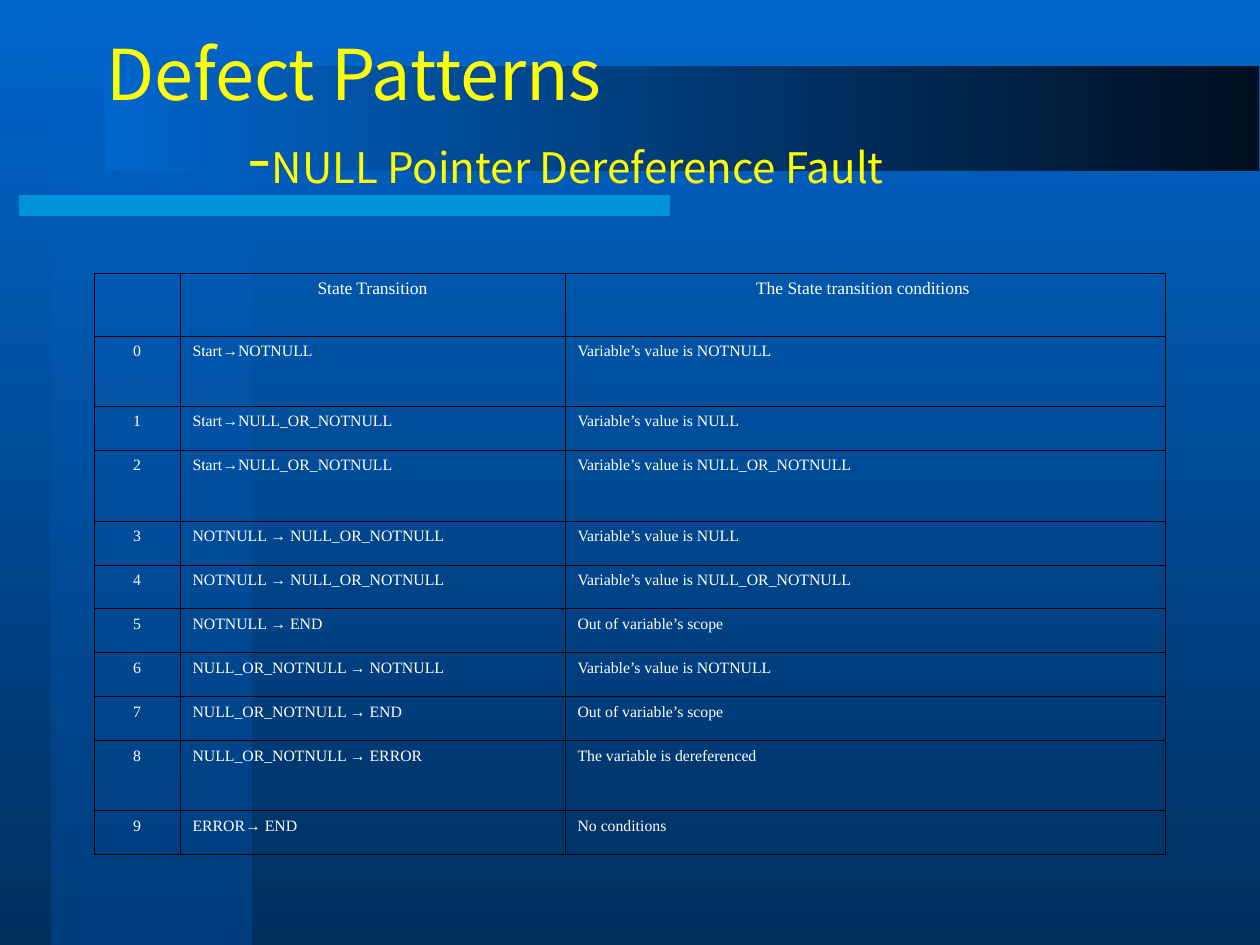
from dataclasses import dataclass
from typing import Optional

from lxml.etree import SubElement
from pptx import Presentation
from pptx.dml.color import RGBColor
from pptx.enum.shapes import MSO_SHAPE
from pptx.enum.text import MSO_ANCHOR, MSO_AUTO_SIZE, PP_ALIGN
from pptx.oxml import parse_xml
from pptx.oxml.ns import nsdecls, qn
from pptx.util import Emu, Pt

PIXEL = 914400 / 126
BLUE = RGBColor(0x00, 0x66, 0xCC)
NAVY = RGBColor(0x00, 0x2F, 0x5E)
DEEP_BLUE = RGBColor(0x00, 0x3E, 0x7D)
MIDNIGHT = RGBColor(0x00, 0x0F, 0x1F)
CYAN = RGBColor(0x00, 0xCC, 0xFF)
YELLOW = RGBColor(0xFF, 0xFF, 0x00)
WHITE = RGBColor(0xFF, 0xFF, 0xFF)
BLACK = RGBColor(0x00, 0x00, 0x00)
TITLE_FONT = "Noto Sans CJK SC"
TABLE_FONT = "Times New Roman"
ARROW_FONT = "Arial"
ARROW = "→"


@dataclass(frozen=True)
class Band:
    left: int
    top: int
    width: int
    height: int
    start: RGBColor
    end: Optional[RGBColor] = None
    angle: int = 0
    alpha: Optional[int] = None


@dataclass(frozen=True)
class Transition:
    change: str
    condition: str
    height: int = 44


BANDS = [
    Band(52, 0, 200, 945, BLUE, DEEP_BLUE, angle=270, alpha=50),
    Band(19, 195, 651, 21, CYAN, alpha=50),
    Band(105, 66, 1154, 105, MIDNIGHT, BLUE, angle=180),
]
COLUMN_WIDTHS = [86, 385, 600]
HEADER_HEIGHT = 63
HEADERS = ["", "State Transition", "The State transition conditions "]
TRANSITIONS = [
    Transition("Start→NOTNULL", "Variable’s value is NOTNULL", 70),
    Transition("Start→NULL_OR_NOTNULL", "Variable’s value is NULL"),
    Transition("Start→NULL_OR_NOTNULL", "Variable’s value is NULL_OR_NOTNULL", 71),
    Transition("NOTNULL → NULL_OR_NOTNULL", "Variable’s value is NULL"),
    Transition("NOTNULL → NULL_OR_NOTNULL", "Variable’s value is NULL_OR_NOTNULL"),
    Transition("NOTNULL → END", "Out of variable’s scope"),
    Transition("NULL_OR_NOTNULL → NOTNULL", "Variable’s value is NOTNULL"),
    Transition("NULL_OR_NOTNULL → END", "Out of variable’s scope"),
    Transition("NULL_OR_NOTNULL → ERROR", "The variable is dereferenced", 70),
    Transition("ERROR→ END", "No conditions"),
]


def px(length: int) -> Emu:
    return Emu(round(length * PIXEL))


def add_text(paragraph, text: str, *, size: int, font: str, color: RGBColor) -> None:
    run = paragraph.add_run()
    run.text = text
    run.font.size = Pt(size)
    run.font.name = font
    run.font.color.rgb = color
    SubElement(run.font._element, qn("a:ea"), typeface=font)


def set_gradient(fill, start: RGBColor, end: RGBColor, angle: int) -> None:
    fill.gradient()
    fill.gradient_angle = angle
    for stop, color, position in zip(fill.gradient_stops, (start, end), (0, 1)):
        stop.color.rgb = color
        stop.position = position


def add_band(slide, band: Band) -> None:
    shape = slide.shapes.add_shape(
        MSO_SHAPE.RECTANGLE, px(band.left), px(band.top), px(band.width), px(band.height)
    )
    shape.shadow.inherit = False
    shape.line.fill.background()
    if band.end is None:
        shape.fill.solid()
        shape.fill.fore_color.rgb = band.start
    else:
        set_gradient(shape.fill, band.start, band.end, band.angle)
    if band.alpha is not None:
        color = next(shape._element.spPr.iter(qn("a:srgbClr")))
        SubElement(color, qn("a:alpha"), val=str(band.alpha * 1000))


def format_title(slide) -> None:
    title = slide.shapes.title
    slide.shapes._spTree.append(title._element)
    title.left, title.top, title.width, title.height = px(94), px(35), px(1071), px(158)
    frame = title.text_frame
    frame.word_wrap = True
    frame.auto_size = MSO_AUTO_SIZE.NONE
    frame.vertical_anchor = MSO_ANCHOR.MIDDLE
    paragraph = frame.paragraphs[0]
    paragraph.alignment = PP_ALIGN.LEFT
    properties = paragraph._p.get_or_add_pPr()
    properties.set("marL", str(px(141)))
    properties.set("indent", str(-px(141)))
    add_text(paragraph, "Defect Patterns", size=40, font=TITLE_FONT, color=YELLOW)
    paragraph.add_line_break()
    add_text(paragraph, "-", size=40, font=TITLE_FONT, color=YELLOW)
    add_text(paragraph, "NULL Pointer Dereference Fault", size=24, font=TITLE_FONT, color=YELLOW)


def format_cell(cell, text: str, size: int, alignment: PP_ALIGN) -> None:
    cell.fill.background()
    properties = cell._tc.get_or_add_tcPr()
    for index, side in enumerate(("lnL", "lnR", "lnT", "lnB")):
        border = parse_xml(
            f'<a:{side} {nsdecls("a")} w="{Pt(0.45)}"><a:solidFill>'
            f'<a:srgbClr val="{BLACK}"/></a:solidFill></a:{side}>'
        )
        properties.insert(index, border)
    paragraph = cell.text_frame.paragraphs[0]
    paragraph.alignment = alignment
    for part in text.replace(ARROW, f"\n{ARROW}\n").split("\n"):
        if part:
            font = ARROW_FONT if part == ARROW else TABLE_FONT
            add_text(paragraph, part, size=size, font=font, color=WHITE)


def add_transition_table(slide) -> None:
    heights = [HEADER_HEIGHT] + [transition.height for transition in TRANSITIONS]
    table = slide.shapes.add_table(
        len(heights), len(COLUMN_WIDTHS), px(94), px(273), px(sum(COLUMN_WIDTHS)), px(sum(heights))
    ).table
    table.first_row = False
    table.horz_banding = False
    for column, width in zip(table.columns, COLUMN_WIDTHS):
        column.width = px(width)
    for row, height in zip(table.rows, heights):
        row.height = px(height)
    for column, header in enumerate(HEADERS):
        format_cell(table.cell(0, column), header, 10, PP_ALIGN.CENTER)
    for number, transition in enumerate(TRANSITIONS):
        for column, text in enumerate((str(number), transition.change, transition.condition)):
            alignment = PP_ALIGN.LEFT if column else PP_ALIGN.CENTER
            format_cell(table.cell(number + 1, column), text, 9, alignment)


def main() -> None:
    presentation = Presentation()
    presentation.slide_width = px(1260)
    presentation.slide_height = px(945)
    slide = presentation.slides.add_slide(presentation.slide_layouts[5])
    set_gradient(slide.background.fill, BLUE, NAVY, 270)
    for band in BANDS:
        add_band(slide, band)
    format_title(slide)
    add_transition_table(slide)
    presentation.save("out.pptx")


if __name__ == "__main__":
    main()
